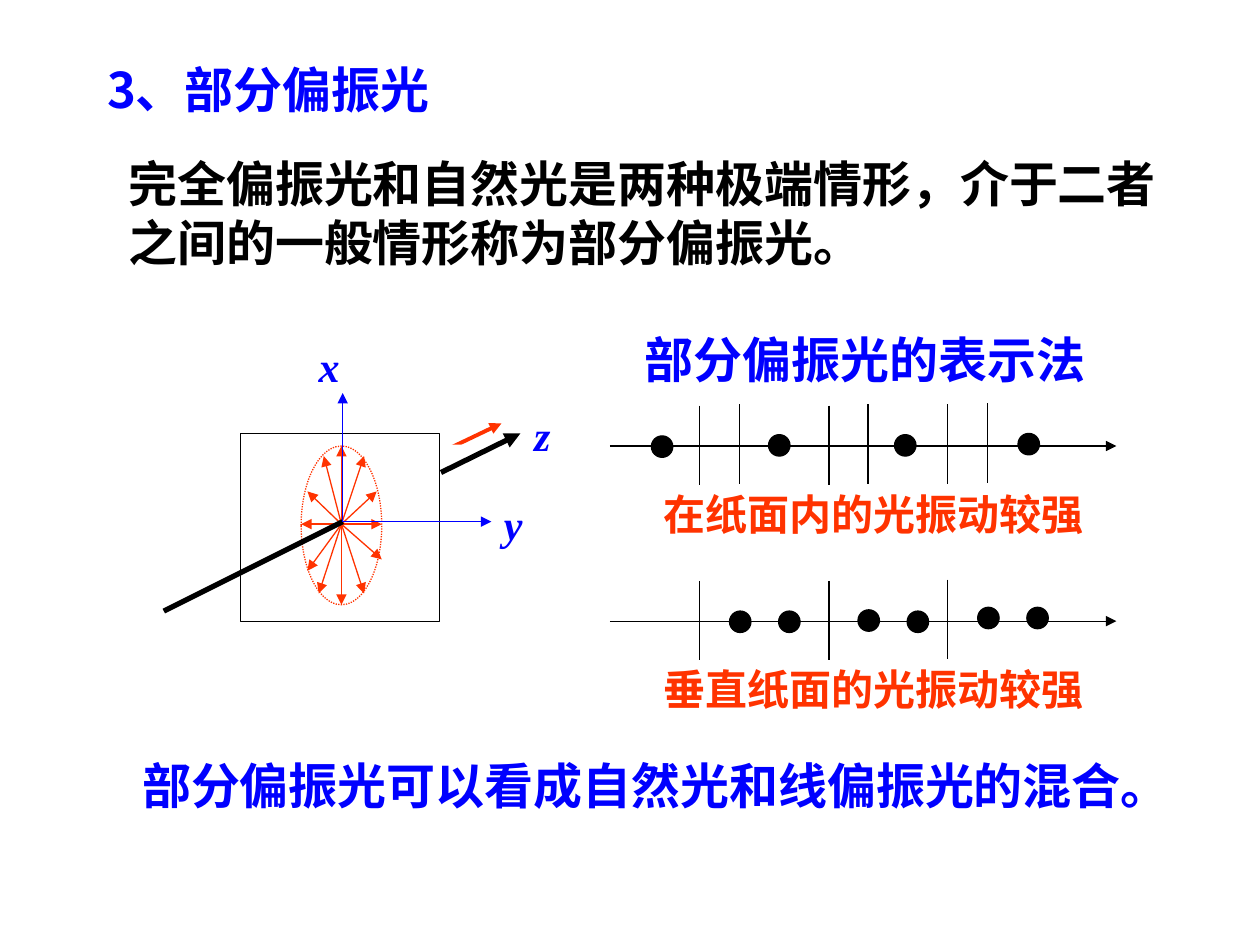
"""Slide on partially polarized light, with its ray diagram and axis notation."""
from lxml.etree import SubElement
from pptx import Presentation
from pptx.dml.color import RGBColor
from pptx.enum.dml import MSO_LINE
from pptx.enum.shapes import MSO_CONNECTOR, MSO_SHAPE
from pptx.enum.text import MSO_ANCHOR, PP_ALIGN
from pptx.oxml.ns import qn
from pptx.util import Inches, Pt

COLS, ROWS = 10, 7.5
COLORS = {"blue": "0000FF", "red": "FF3300", "black": "000000", "white": "FFFFFF"}
CJK, LATIN = "Noto Sans CJK SC", "Times New Roman"

TITLE = "3、部分偏振光"
BODY = ["完全偏振光和自然光是两种极端情形，介于二者", "之间的一般情形称为部分偏振光。"]
SUMMARY = "部分偏振光可以看成自然光和线偏振光的混合。"
HEADING = "部分偏振光的表示法"
AXIS_LABELS = [("x", 2.43, 2.65, 0.36), ("y", 3.9, 3.91, 0.35), ("z", 4.14, 3.2, 0.33)]

CENTER = (2.71, 4.16)
RAYS = [(0, -0.62), (-0.32, 0), (0.32, 0), (0, 0.64), (0.18, -0.54), (0.28, -0.26),
        (0.32, 0.28), (0.18, 0.55), (-0.27, 0.37), (-0.18, 0.55), (-0.14, -0.54),
        (-0.27, -0.26)]
ORIGIN = (2.72, 4.14)

NOTATIONS = [
    {"y": 3.54, "label": "在纸面内的光振动较强",
     "ticks": [(5.55, 0.32), (5.87, 0.33), (6.58, 0.32), (6.89, 0.33), (7.52, 0.33),
               (7.84, 0.34)],
     "dots": [(5.17, 0.08), (6.1, 0.09), (7.1, 0.09), (8.08, 0.1)]},
    {"y": 4.93, "label": "垂直纸面的光振动较强",
     "ticks": [(5.55, 0.32), (6.58, 0.32), (7.52, 0.33)],
     "dots": [(5.79, 0.08), (6.18, 0.08), (6.81, 0.09), (7.2, 0.08), (7.76, 0.11),
              (8.15, 0.11)]},
]
AXIS_LEFT, AXIS_RIGHT, TICK, DOT = 4.84, 8.86, 0.63, 0.17


def rgb(name):
    return RGBColor.from_string(COLORS[name])


def write(tf, lines, size=28, color="blue", font=LATIN, italic=False):
    for i, line in enumerate(lines):
        p = tf.paragraphs[0] if i == 0 else tf.add_paragraph()
        p.alignment = PP_ALIGN.LEFT
        r = p.add_run()
        r.text = line
        r.font.size, r.font.name = Pt(size), font
        r.font.bold, r.font.italic = True, italic
        r.font.color.rgb = rgb(color)
        SubElement(r.font._element, qn("a:ea")).set("typeface", CJK)


def text(shapes, lines, x, y, w, h, wrap=True, fill=None, **fmt):
    sp = shapes.add_textbox(Inches(x), Inches(y), Inches(w), Inches(h))
    sp.text_frame.word_wrap = wrap
    if fill:
        sp.fill.solid()
        sp.fill.fore_color.rgb = rgb(fill)
    write(sp.text_frame, lines, **fmt)


def shape(shapes, kind, x, y, w, h, fill="white", line=None, dash=None):
    sp = shapes.add_shape(kind, Inches(x), Inches(y), Inches(w), Inches(h))
    sp.shadow.inherit = False
    sp.fill.solid()
    sp.fill.fore_color.rgb = rgb(fill)
    if line:
        sp.line.color.rgb, sp.line.width = rgb(line), Pt(0.75)
        if dash:
            sp.line.dash_style = dash
    else:
        sp.line.fill.background()


def line(shapes, start, end, color="black", width=0.75, arrow=False):
    cx = shapes.add_connector(MSO_CONNECTOR.STRAIGHT, *map(Inches, (*start, *end)))
    cx.line.color.rgb, cx.line.width = rgb(color), Pt(width)
    if arrow:
        SubElement(cx.line._get_or_add_ln(), qn("a:tailEnd")).set("type", "triangle")
    SubElement(cx._element.spPr, qn("a:effectLst"))


def ray_diagram(shapes):
    cx, cy = CENTER
    shape(shapes, MSO_SHAPE.RECTANGLE, 1.91, 3.44, 1.58, 1.49, line="black")
    line(shapes, (3.5, 3.59), (3.98, 3.36), "red", 2.25, arrow=True)
    shape(shapes, MSO_SHAPE.RECTANGLE, 2.31, 3.53, 2.42, 0.33)
    shape(shapes, MSO_SHAPE.OVAL, 2.39, 3.54, 0.64, 1.26, line="red",
          dash=MSO_LINE.ROUND_DOT)
    for dx, dy in RAYS:
        line(shapes, CENTER, (cx + dx, cy + dy), "red", arrow=True)
    line(shapes, ORIGIN, (1.3, 4.85), width=3)
    line(shapes, (3.5, 3.75), (4.13, 3.44), width=3, arrow=True)
    for end in [(3.9, 4.14), (2.72, 3.12)]:
        line(shapes, ORIGIN, end, "blue", arrow=True)
    line(shapes, (3.49, 3.51), (3.49, 3.99))
    for name, x, y, w in AXIS_LABELS:
        text(shapes, [name], x, y, w, 0.5, wrap=False, size=24, italic=True)


def notation(shapes, y, label, ticks, dots):
    text(shapes, [label], 5.17, y + 0.29, 3.6, 0.5, fill="white", size=24, color="red")
    line(shapes, (AXIS_LEFT, y), (AXIS_RIGHT, y), arrow=True)
    for x, rise in ticks:
        line(shapes, (x, y - rise), (x, y - rise + TICK))
    for x, rise in dots:
        shape(shapes, MSO_SHAPE.OVAL, x, y - rise, DOT, DOT, "black", "black")


def main():
    prs = Presentation()
    prs.slide_width, prs.slide_height = Inches(COLS), Inches(ROWS)
    s = prs.slides.add_slide(prs.slide_layouts[5])
    title = s.shapes.title
    title.left, title.top = Inches(0.75), Inches(0.33)
    title.width, title.height = Inches(5.08), Inches(0.75)
    title.text_frame.vertical_anchor = MSO_ANCHOR.MIDDLE
    write(title.text_frame, [TITLE], font=CJK)
    text(s.shapes, BODY, 0.92, 1.17, 8.92, 1.04, color="black", font=CJK)
    text(s.shapes, [SUMMARY], 1.03, 5.95, 8.45, 0.57)
    text(s.shapes, [HEADING], 5.02, 2.57, 3.8, 0.57, fill="white")
    ray_diagram(s.shapes)
    for row in NOTATIONS:
        notation(s.shapes, **row)
    prs.save("out.pptx")


if __name__ == "__main__":
    main()
